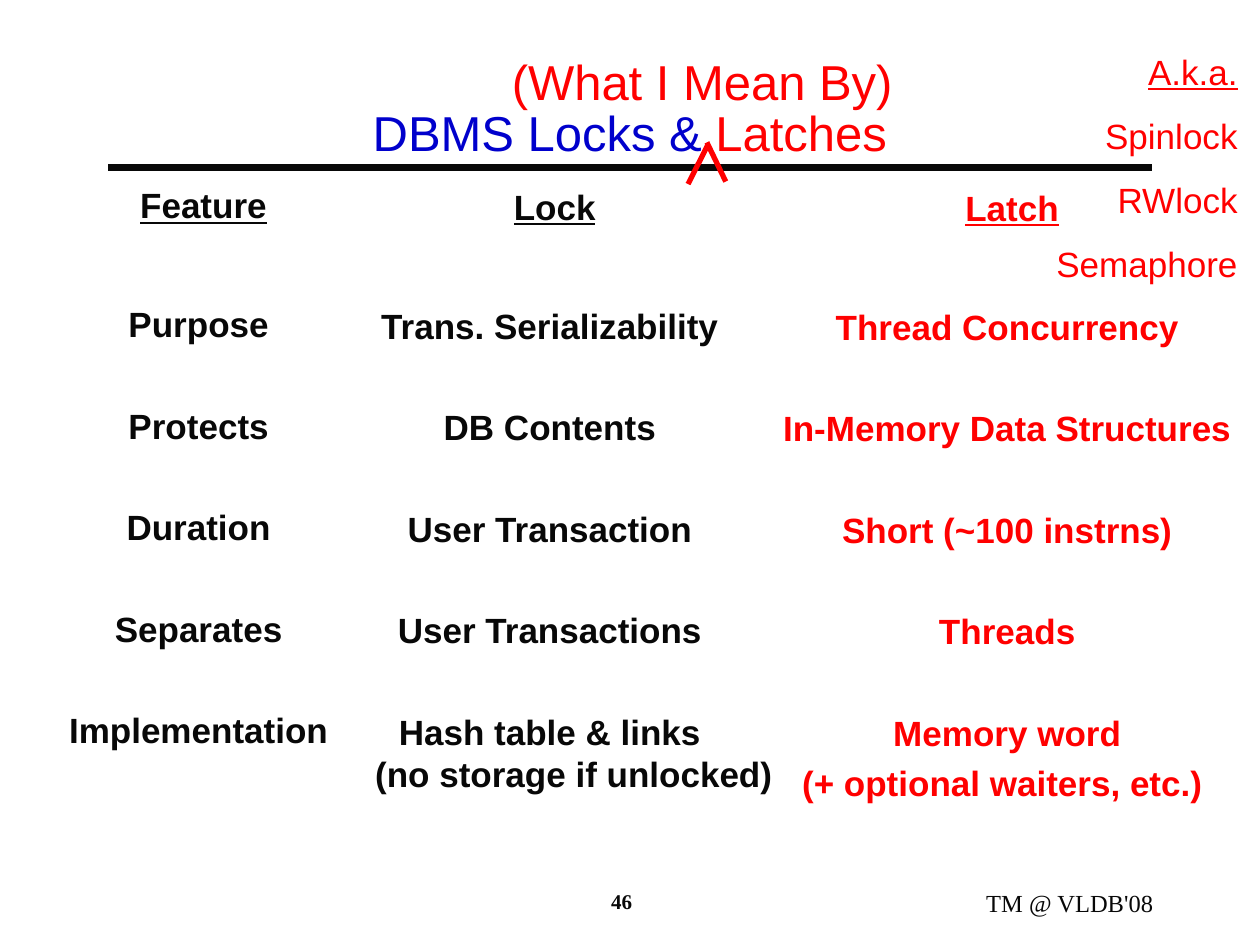
import pptx
import pptx.util
import pptx.dml.color
import pptx.enum.text
import pptx.enum.shapes
import pptx.oxml
import pptx.oxml.ns

Cm, Pt = pptx.util.Cm, pptx.util.Pt
ALIGN = pptx.enum.text.PP_ALIGN
ANCHOR = pptx.enum.text.MSO_ANCHOR

THEME = {
    "sans": "Arial", "serif": "Times New Roman",
    "ink": "080808", "blue": "0000CC", "red": "FF0000",
    "title": 28, "body": 20, "footer": 14, "number": 12,
    "leading": 24, "header_gap": 44, "row_gap": 34, "line_gap": 5, "aside_gap": 12.5,
    "hanging": 0.97,
}

TITLE = [("DBMS Locks & ", "blue"), ("Latches", "red")]
CAPTION = "(What I Mean By)"
ASIDE = ["A.k.a.", "Spinlock", "RWlock", "Semaphore"]
COLUMNS = [
    {"box": (0.69, 3.58, 6.63, 13.87), "color": "ink", "header": "Feature",
     "rows": [["Purpose"], ["Protects"], ["Duration"], ["Separates"], ["Implementation"]]},
    {"box": (6.12, 3.61, 9.93, 13.87), "color": "ink", "header": "Lock",
     "rows": [["Trans. Serializability"], ["DB Contents"], ["User Transaction"],
              ["User Transactions"], ["Hash table & links\n(no storage if unlocked)"]]},
    {"box": (15.21, 3.63, 10.19, 13.87), "color": "red", "header": "Latch",
     "rows": [["Thread Concurrency"], ["In-Memory Data Structures"], ["Short (~100 instrns)"],
              ["Threads"], ["Memory word", "(+ optional waiters, etc.) "]]},
]
RULE = (2.18, 3.38, 23.22, 3.38)
CARET = [(13.87, 3.71, 14.27, 2.92), (14.63, 3.66, 14.25, 2.87)]


def add_run(p, text, size, color, font="sans", bold=False, underline=False):
    for i, line in enumerate(text.split("\n")):
        if i:
            p.add_line_break()
        r = p.add_run()
        r.text = line
        r.font.name = THEME[font]
        r.font.size = Pt(THEME[size])
        r.font.bold = bold
        r.font.underline = underline
        r.font.color.rgb = pptx.dml.color.RGBColor.from_string(THEME[color])


def add_paragraph(tf, align, gap=0, leading=None, hanging=0):
    first = tf.paragraphs[0]
    p = tf.add_paragraph() if first.runs else first
    p.alignment = align
    p.space_before = Pt(gap)
    if leading:
        p.line_spacing = Pt(leading)
    if hanging:
        pPr = p._p.get_or_add_pPr()
        pPr.set("marL", str(Cm(hanging)))
        pPr.set("indent", str(-Cm(hanging)))
    return p


def add_box(s, box, anchor=ANCHOR.TOP):
    tf = s.shapes.add_textbox(*map(Cm, box)).text_frame
    tf.word_wrap = True
    tf.vertical_anchor = anchor
    return tf


def add_line(s, ends, color, width):
    sp = s.shapes.add_connector(pptx.enum.shapes.MSO_CONNECTOR.STRAIGHT, *map(Cm, ends))
    sp.line.color.rgb = pptx.dml.color.RGBColor.from_string(THEME[color])
    sp.line.width = Pt(width)
    sp._element.spPr.append(pptx.oxml.parse_xml(
        "<a:effectLst %s/>" % pptx.oxml.ns.nsdecls("a")))


def add_title(s):
    sp = s.shapes.title
    sp.left, sp.top, sp.width, sp.height = map(Cm, (1.9, 1.7, 21.59, 1.9))
    tf = sp.text_frame
    tf.auto_size = pptx.enum.text.MSO_AUTO_SIZE.NONE
    tf.vertical_anchor = ANCHOR.MIDDLE
    p = add_paragraph(tf, ALIGN.CENTER)
    for text, color in TITLE:
        add_run(p, text, "title", color)


def add_column(s, column):
    tf = add_box(s, column["box"])
    layout = {"leading": THEME["leading"], "hanging": THEME["hanging"]}
    p = add_paragraph(tf, ALIGN.CENTER, **layout)
    add_run(p, " ", "body", column["color"])
    add_run(p, column["header"], "body", column["color"], bold=True, underline=True)
    for i, row in enumerate(column["rows"]):
        for j, text in enumerate(row):
            gap = "line_gap" if j else "row_gap" if i else "header_gap"
            p = add_paragraph(tf, ALIGN.CENTER, THEME[gap], **layout)
            add_run(p, text, "body", column["color"], bold=True)


def main():
    prs = pptx.Presentation()
    prs.slide_width, prs.slide_height = Cm(25.4), Cm(19.05)
    s = prs.slides.add_slide(prs.slide_layouts.get_by_name("Title Only"))

    add_line(s, RULE, "ink", 4)
    add_title(s)
    for column in COLUMNS:
        add_column(s, column)

    tf = add_box(s, (20.27, 0.89, 4.93, 4.98))
    for i, text in enumerate(ASIDE):
        p = add_paragraph(tf, ALIGN.RIGHT, THEME["aside_gap"] if i else 0, THEME["leading"])
        add_run(p, text, "body", "red", underline=i == 0)

    tf = add_box(s, (8.86, 0.69, 10.59, 1.9), ANCHOR.MIDDLE)
    add_run(add_paragraph(tf, ALIGN.CENTER), CAPTION, "title", "red")
    for stroke in CARET:
        add_line(s, stroke, "red", 3)

    tf = add_box(s, (16.08, 17.78, 7.42, 0.84))
    add_run(add_paragraph(tf, ALIGN.RIGHT), "TM @ VLDB'08", "footer", "ink", "serif")
    tf = add_box(s, (12.07, 17.78, 3.61, 0.84))
    add_run(add_paragraph(tf, ALIGN.LEFT), "46", "number", "ink", "serif", bold=True)

    prs.save("out.pptx")


if __name__ == "__main__":
    main()
